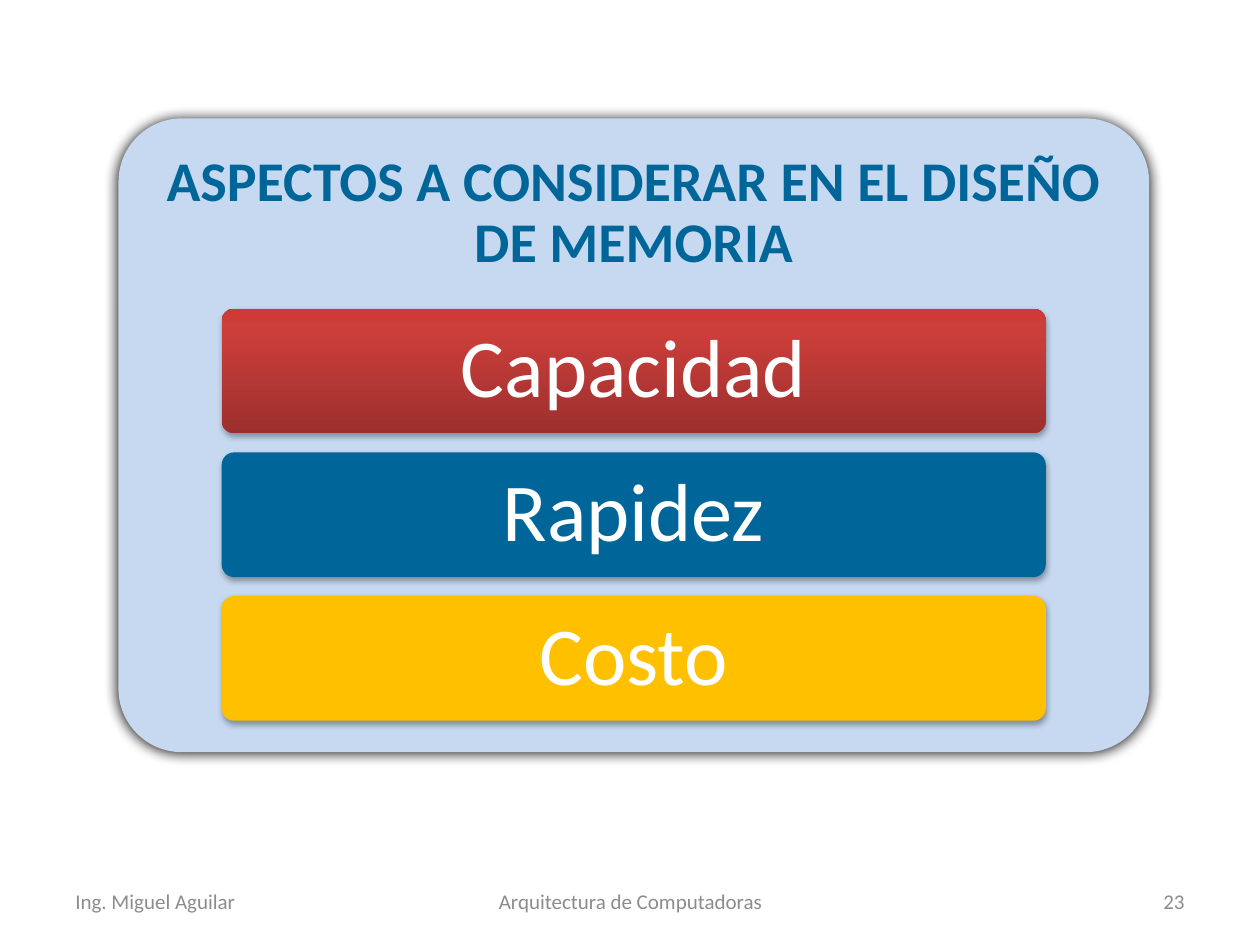
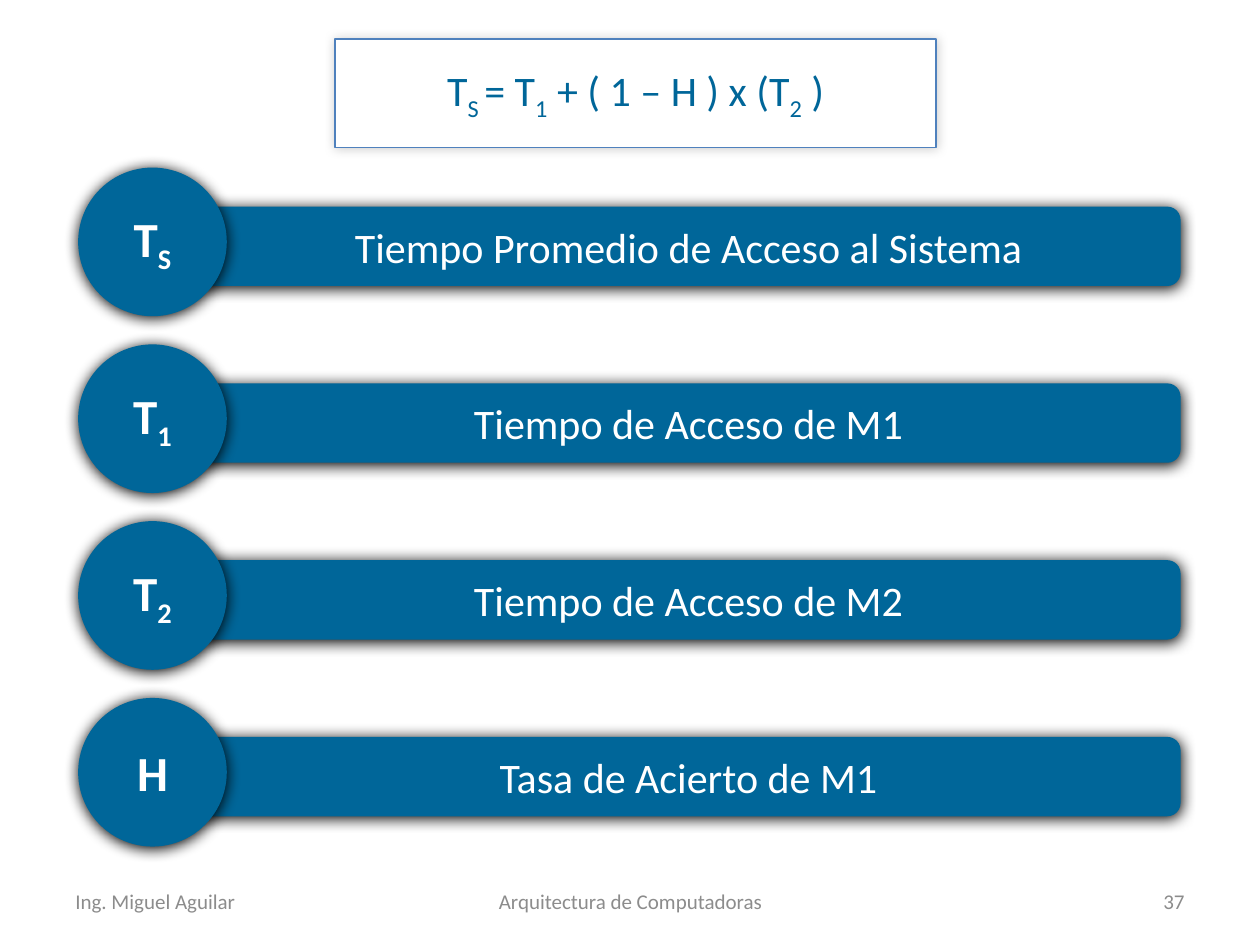
import pptx
import pptx.dml.color
import pptx.enum.shapes
import pptx.enum.text
import pptx.oxml
import pptx.oxml.ns
import pptx.util

Inches = pptx.util.Inches
RGBColor = pptx.dml.color.RGBColor
SHAPE = pptx.enum.shapes.MSO_SHAPE
ALIGN = pptx.enum.text.PP_ALIGN
A_NS = pptx.oxml.ns.nsdecls("a")

WHITE = RGBColor(0xFF, 0xFF, 0xFF)
GRAY = RGBColor(0x8C, 0x8C, 0x8C)
BLUE = RGBColor(0x00, 0x66, 0x99)
PALE_BLUE = RGBColor(0xC6, 0xD9, 0xF1)
BORDER_BLUE = RGBColor(0x4F, 0x81, 0xBD)
YELLOW = RGBColor(0xFF, 0xC0, 0x00)
DARK_RED = RGBColor(0x9C, 0x2F, 0x2D)
RED = RGBColor(0xCB, 0x3E, 0x3A)
BRIGHT_RED = RGBColor(0xCE, 0x3B, 0x37)

GLOW = (100, 8.5, 1, 90)
SOFT = (35, 3.1, 1.8, 90)
FAINT = (20, 6, 0, 315)


def add_block(page, kind, bounds, color, shadow):
    block = page.shapes.add_shape(kind, *map(Inches, bounds))
    block.fill.solid()
    block.fill.fore_color.rgb = color
    block.line.fill.background()
    block.shadow.inherit = False
    opacity, blur, distance, angle = shadow
    effects = block._element.spPr.find(pptx.oxml.ns.qn("a:effectLst"))
    effects.append(pptx.oxml.parse_xml(
        f'<a:outerShdw {A_NS} blurRad="{pptx.util.Pt(blur)}" dist="{pptx.util.Pt(distance)}" '
        f'dir="{angle * 60000}" rotWithShape="0"><a:srgbClr val="000000">'
        f'<a:alpha val="{opacity * 1000}"/></a:srgbClr></a:outerShdw>'))
    return block


def write(box, parts, size, color, align=ALIGN.CENTER, bold=False, spacing=None):
    frame = box.text_frame
    frame.word_wrap = True
    frame.vertical_anchor = pptx.enum.text.MSO_ANCHOR.MIDDLE
    para = frame.paragraphs[0]
    para.alignment = align
    if spacing:
        para.line_spacing = spacing
    para.font.name = "Calibri"
    para.font.size = pptx.util.Pt(size)
    para.font.bold = bold
    para.font.color.rgb = color
    for index, part in enumerate(parts):
        span = para.add_run()
        span.text = part
        if index % 2:
            span._r.get_or_add_rPr().set("baseline", "-25000")


deck = pptx.Presentation()
deck.slide_width = Inches(10)
deck.slide_height = Inches(7.5)

pages = []
for number in ("23", "37"):
    page = deck.slides.add_slide(deck.slide_layouts[6])
    pages.append(page)
    for left, width, text, align in (
        (0.5, 2.33, "Ing. Miguel Aguilar", ALIGN.LEFT),
        (3.42, 3.17, "Arquitectura de Computadoras", ALIGN.CENTER),
        (7.17, 2.33, number, ALIGN.RIGHT),
    ):
        footer = page.shapes.add_textbox(Inches(left), Inches(6.95), Inches(width), Inches(0.4))
        write(footer, [text], 12, GRAY, align)
aspects_page, formula_page = pages

panel = add_block(aspects_page, SHAPE.ROUNDED_RECTANGLE, (0.94, 0.94, 8.18, 5.03), PALE_BLUE, GLOW)
panel.adjustments[0] = 0.1
title = aspects_page.shapes.add_textbox(Inches(0.94), Inches(0.94), Inches(8.18), Inches(1.51))
title.text_frame.margin_left = title.text_frame.margin_right = Inches(0.13)
write(title, ["ASPECTOS A CONSIDERAR EN EL DISEÑO DE MEMORIA"], 32, BLUE, bold=True, spacing=0.9)

aspects = (("Capacidad", RED), ("Rapidez", BLUE), ("Costo", YELLOW))
for row, (aspect, color) in enumerate(aspects):
    bar = add_block(aspects_page, SHAPE.ROUNDED_RECTANGLE,
                    (1.76, 2.45 + 1.14 * row, 6.54, 0.99), color, SOFT)
    bar.adjustments[0] = 0.1
    write(bar, [aspect], 47, WHITE, spacing=0.9)
    if color == RED:
        bar.fill.gradient()
        bar.fill.gradient_angle = 90
        stops = bar._element.spPr.find(".//" + pptx.oxml.ns.qn("a:gsLst"))
        for stop in list(stops):
            stops.remove(stop)
        for position, shade in ((0, DARK_RED), (80, RED), (100, BRIGHT_RED)):
            stops.append(pptx.oxml.parse_xml(
                f'<a:gs {A_NS} pos="{position * 1000}"><a:srgbClr val="{shade}"/></a:gs>'))

formula = add_block(formula_page, SHAPE.RECTANGLE, (2.66, 0.31, 4.77, 0.86), WHITE, FAINT)
formula.line.color.rgb = BORDER_BLUE
formula.line.width = pptx.util.Pt(0.75)
write(formula, ["T", "S ", "= T", "1", " + ( 1 – H ) x (T", "2", " )"], 24, BLUE)

terms = (
    (["T", "S"], "Tiempo Promedio de Acceso al Sistema"),
    (["T", "1"], "Tiempo de Acceso de M1"),
    (["T", "2"], "Tiempo de Acceso de M2"),
    (["H"], "Tasa de Acierto de M1"),
)
for row, (symbol, meaning) in enumerate(terms):
    top = 1.33 + 1.403 * row
    bar = add_block(formula_page, SHAPE.ROUNDED_RECTANGLE, (1.56, top + 0.31, 7.81, 0.63), BLUE, GLOW)
    write(bar, [meaning], 24, WHITE)
    circle = add_block(formula_page, SHAPE.OVAL, (0.62, top, 1.18, 1.18), BLUE, GLOW)
    write(circle, symbol, 28, WHITE, bold=True)

deck.save("out.pptx")
